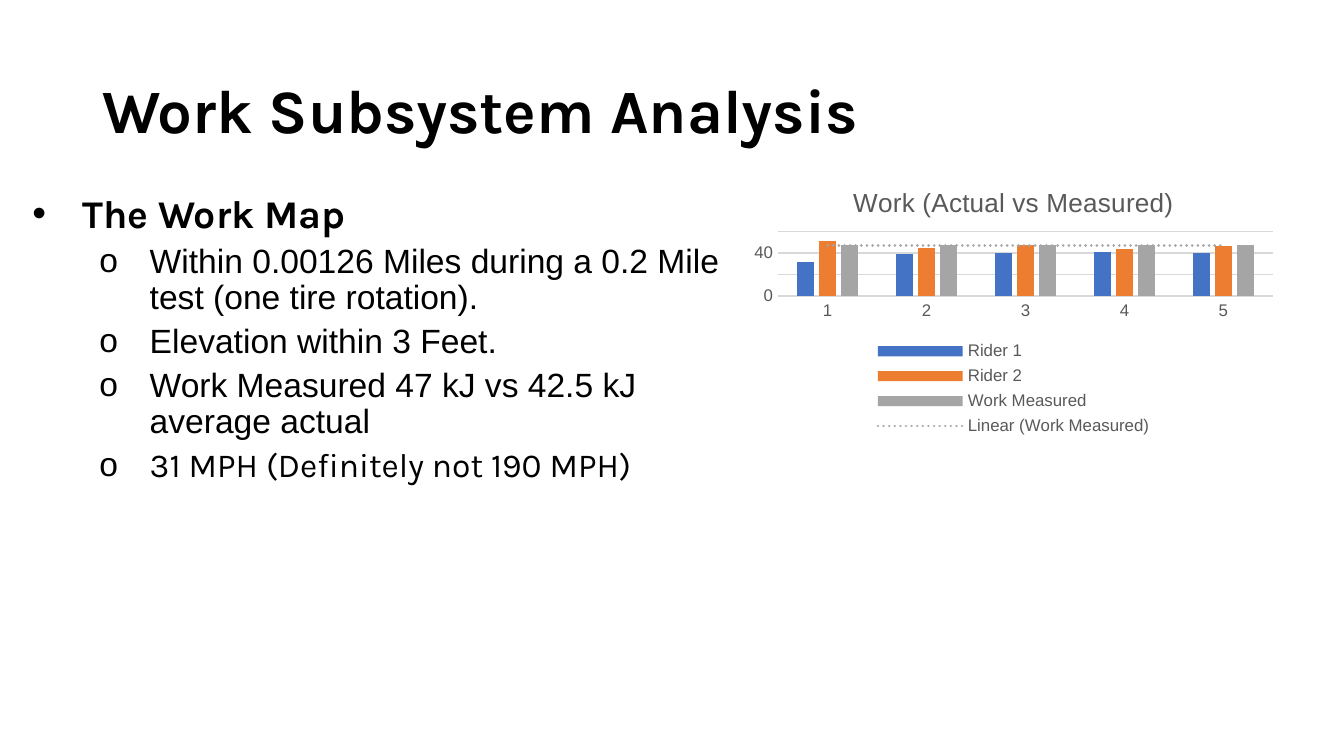
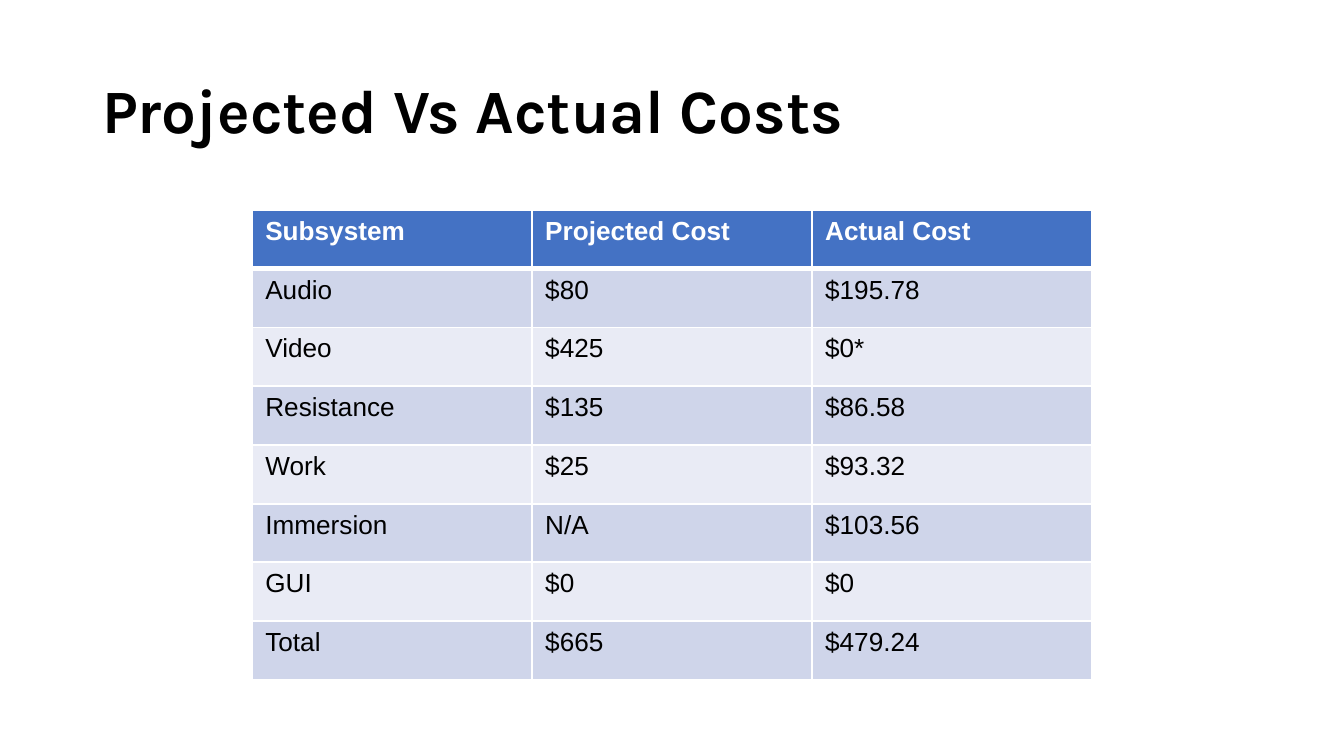
from lxml import etree
from pptx import Presentation
from pptx.chart.data import CategoryChartData
from pptx.dml.color import RGBColor
from pptx.enum.chart import XL_CHART_TYPE as ChartType
from pptx.enum.chart import XL_LEGEND_POSITION as LegendPosition
from pptx.enum.chart import XL_TICK_MARK as TickMark
from pptx.enum.text import MSO_ANCHOR as Anchor
from pptx.enum.text import MSO_AUTO_SIZE as AutoSize
from pptx.enum.text import PP_ALIGN as Align
from pptx.oxml import parse_xml
from pptx.oxml.ns import nsdecls, qn
from pptx.util import Cm, Pt

BLACK = RGBColor(0x00, 0x00, 0x00)
WHITE = RGBColor(0xFF, 0xFF, 0xFF)
BLUE = RGBColor(0x44, 0x72, 0xC4)
ORANGE = RGBColor(0xED, 0x7D, 0x31)
GRAY = RGBColor(0xA5, 0xA5, 0xA5)
CHART_TEXT = RGBColor(0x59, 0x59, 0x59)
GRID = RGBColor(0xD9, 0xD9, 0xD9)
BAND_DARK = RGBColor(0xCF, 0xD5, 0xEA)
BAND_LIGHT = RGBColor(0xE9, 0xEB, 0xF5)

HEADING_FONT = "Karla"
TEXT_FONT = "Arial"
TITLE_AND_CONTENT, TITLE_ONLY = 1, 5

WORK_POINTS = [
    ("Within 0.00126 Miles during a 0.2 Mile test (one tire rotation).", TEXT_FONT),
    ("Elevation within 3 Feet.", TEXT_FONT),
    ("Work Measured 47 kJ vs 42.5 kJ average actual", TEXT_FONT),
    ("31 MPH (Definitely not 190 MPH)", HEADING_FONT),
]
WORK_SERIES = [
    ("Rider 1", [32, 39, 40, 41, 40], BLUE),
    ("Rider 2", [51, 45, 47, 44, 46], ORANGE),
    ("Work Measured", [47] * 5, GRAY),
]
COSTS = [
    ("Subsystem", "Projected Cost", "Actual Cost"),
    ("Audio", "$80", "$195.78"),
    ("Video", "$425", "$0*"),
    ("Resistance", "$135", "$86.58"),
    ("Work", "$25", "$93.32"),
    ("Immersion", "N/A", "$103.56"),
    ("GUI", "$0", "$0"),
    ("Total", "$665", "$479.24"),
]


def style_font(font, size, color, name=TEXT_FONT, bold=False):
    font.size, font.name, font.bold = Pt(size), name, bold
    font.color.rgb = color


def add_bullet(para, char, left, hanging):
    props = para._p.get_or_add_pPr()
    props.set("marL", str(left))
    props.set("indent", str(-hanging))
    color = etree.SubElement(props, qn("a:buClr"))
    etree.SubElement(color, qn("a:srgbClr"), val=str(BLACK))
    etree.SubElement(props, qn("a:buFont"), typeface=TEXT_FONT)
    etree.SubElement(props, qn("a:buChar"), char=char)


def add_border(cell, side, width):
    line = etree.SubElement(cell._tc.get_or_add_tcPr(), qn(f"a:ln{side}"), w=str(Pt(width)))
    fill = etree.SubElement(line, qn("a:solidFill"))
    etree.SubElement(fill, qn("a:srgbClr"), val=str(WHITE))


def add_trend_line(series, color):
    trend = parse_xml(
        f'<c:trendline {nsdecls("c", "a")}><c:spPr><a:ln w="{Pt(1.5)}" cap="rnd">'
        f'<a:solidFill><a:srgbClr val="{color}"/></a:solidFill><a:prstDash val="sysDot"/>'
        '</a:ln></c:spPr><c:trendlineType val="linear"/><c:dispRSqr val="0"/>'
        '<c:dispEq val="0"/></c:trendline>')
    series._element.find(qn("c:cat")).addprevious(trend)


class DeckBuilder:
    def __init__(self):
        self.deck = Presentation()
        self.deck.slide_width, self.deck.slide_height = Cm(25.4), Cm(14.29)
        self.page = None

    def add_page(self, title, layout):
        self.page = self.deck.slides.add_slide(self.deck.slide_layouts[layout])
        frame = self.place(self.page.shapes.title, 1.75, 0.76, 21.89, 2.77)
        frame.vertical_anchor = Anchor.MIDDLE
        frame.text = title
        para = frame.paragraphs[0]
        para.alignment, para.line_spacing = Align.LEFT, 0.9
        style_font(para.runs[0].font, 33, BLACK, HEADING_FONT, True)

    def place(self, box, left, top, width, height):
        """Move a placeholder and return its text frame with the shared insets."""
        box.left, box.top, box.width, box.height = map(Cm, (left, top, width, height))
        frame = box.text_frame
        frame.word_wrap, frame.auto_size = True, AutoSize.NONE
        frame.margin_left = frame.margin_right = Cm(0.18)
        frame.margin_top = frame.margin_bottom = Cm(0.1)
        return frame

    def add_list(self, heading, points):
        frame = self.place(self.page.placeholders[1], 0.03, 3.58, 14.6, 9.3)
        frame.vertical_anchor = Anchor.TOP
        self.add_item(frame.paragraphs[0], heading, HEADING_FONT, 0)
        for text, font in points:
            self.add_item(frame.add_paragraph(), text, font, 1)

    def add_item(self, para, text, font, level):
        para.text, para.level = text, level
        add_bullet(para, "•o"[level], Cm(1.35 + 1.27 * level), Cm(0.95))
        para.line_spacing, para.space_before = 0.9, Pt(4 * level)
        style_font(para.runs[0].font, 18 if level else 21, BLACK, font, not level)

    def add_column_chart(self, title, rows, left, top, width, height):
        data = CategoryChartData()
        data.categories = ["1", "2", "3", "4", "5"]
        for name, values, _ in rows:
            data.add_series(name, values)
        chart = self.page.shapes.add_chart(
            ChartType.COLUMN_CLUSTERED, Cm(left), Cm(top), Cm(width), Cm(height), data).chart
        style_font(chart.font, 10, BLACK)
        chart.has_title = True
        chart.chart_title.text_frame.text = title
        style_font(chart.chart_title.text_frame.paragraphs[0].runs[0].font, 14, CHART_TEXT)
        chart.has_legend = True
        chart.legend.position = LegendPosition.BOTTOM
        chart.legend.include_in_layout = False
        style_font(chart.legend.font, 9, CHART_TEXT)

        plot = chart.plots[0]
        plot.gap_width, plot.overlap, plot.vary_by_categories = 219, -27, False
        for series, (_, _, color) in zip(plot.series, rows):
            series.format.fill.solid()
            series.format.fill.fore_color.rgb = color
        add_trend_line(plot.series[-1], rows[-1][2])

        values, categories = chart.value_axis, chart.category_axis
        for axis in (values, categories):
            axis.major_tick_mark = axis.minor_tick_mark = TickMark.NONE
            style_font(axis.tick_labels.font, 9, CHART_TEXT)
        values.minimum_scale, values.maximum_scale, values.major_unit = 0, 60, 20
        values.format.line.fill.background()
        for line in (values.major_gridlines.format.line, categories.format.line):
            line.color.rgb, line.width = GRID, Pt(0.75)

    def add_table(self, rows, left, top, column_width, row_height):
        count = len(rows[0])
        table = self.page.shapes.add_table(
            len(rows), count, Cm(left), Cm(top),
            Cm(column_width * count), Cm(row_height * len(rows))).table
        for column in table.columns:
            column.width = Cm(column_width)
        for index, texts in enumerate(rows):
            table.rows[index].height = Cm(row_height)
            for cell, text in zip(table.rows[index].cells, texts):
                self.fill_cell(cell, text, index)

    def fill_cell(self, cell, text, row):
        header = row == 0
        widths = {"L": 1.07, "R": 1.07, "T": 3.2 if row == 1 else 1.07, "B": 3.2 if header else 1.07}
        for side, width in widths.items():
            add_border(cell, side, width)
        cell.fill.solid()
        cell.fill.fore_color.rgb = BLUE if header else (BAND_LIGHT, BAND_DARK)[row % 2]
        cell.text = text
        font = cell.text_frame.paragraphs[0].runs[0].font
        style_font(font, 14, WHITE if header else BLACK, bold=header)


def main():
    builder = DeckBuilder()
    builder.add_page("Work Subsystem Analysis", TITLE_AND_CONTENT)
    builder.add_list("The Work Map", WORK_POINTS)
    builder.add_column_chart("Work (Actual vs Measured)", WORK_SERIES, 14.05, 3.18, 10.21, 5.16)
    builder.add_page("Projected Vs Actual Costs", TITLE_ONLY)
    builder.add_table(COSTS, 4.76, 3.97, 5.29, 1.11)
    builder.deck.save("out.pptx")


if __name__ == "__main__":
    main()
